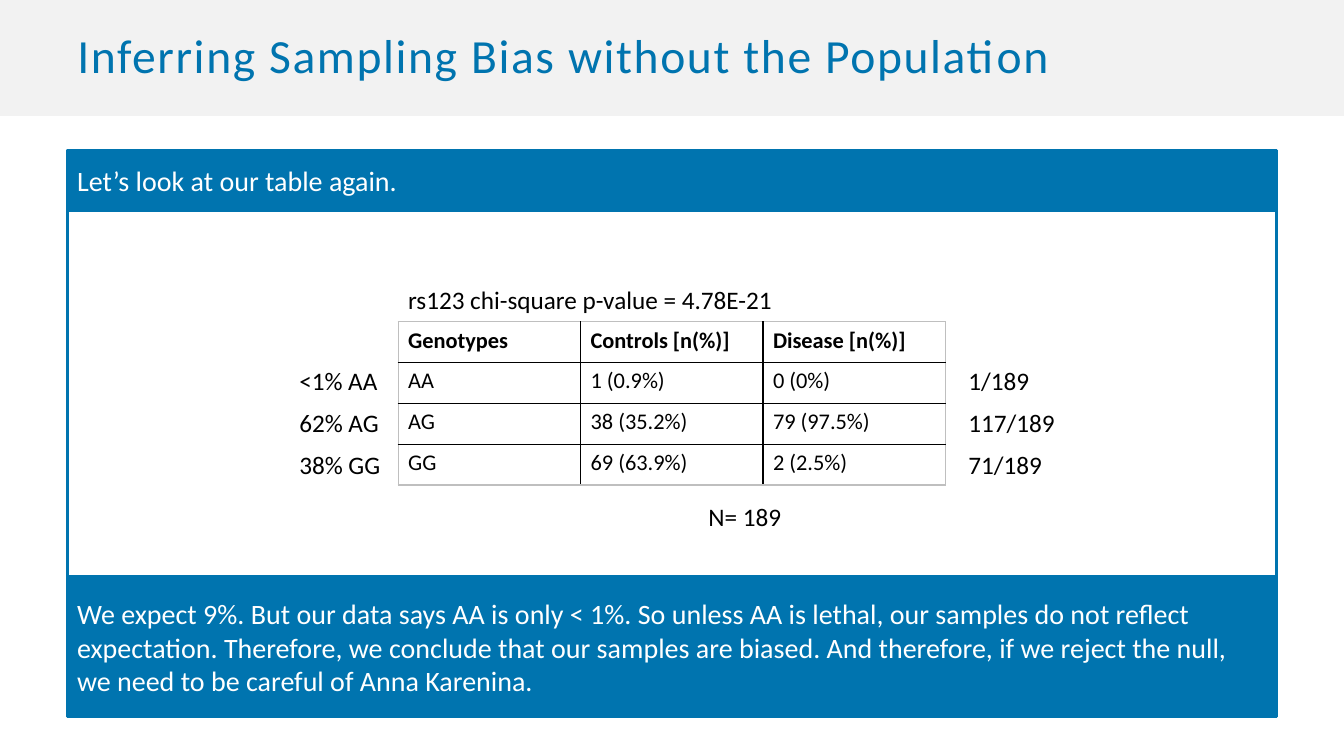
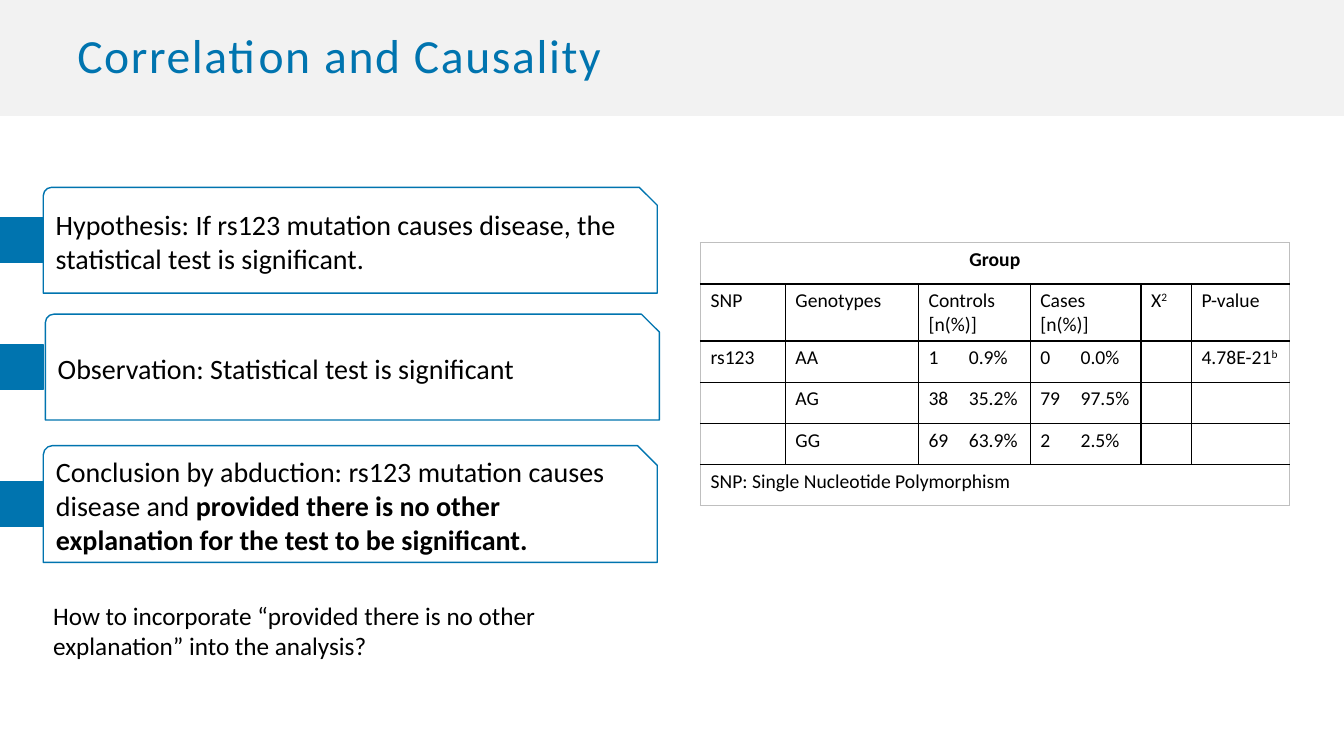
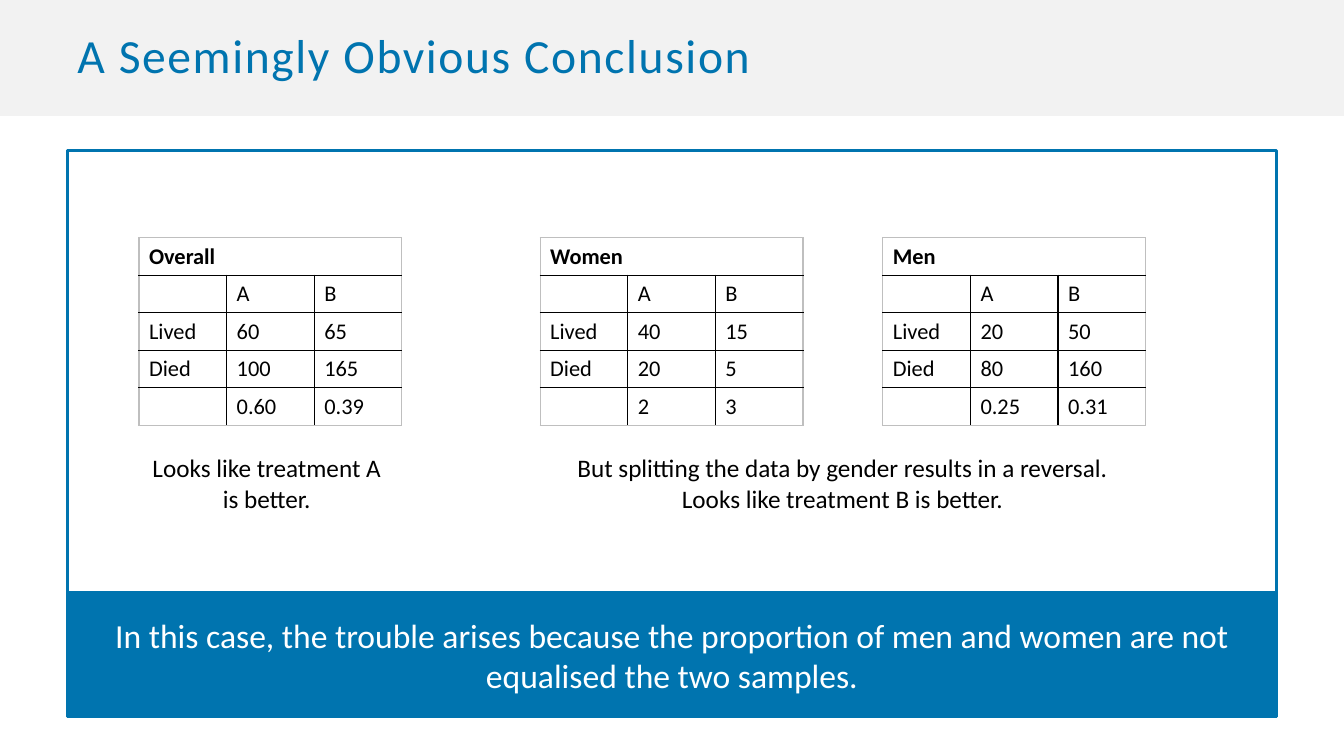
from dataclasses import dataclass

from lxml import etree
from pptx import Presentation
from pptx.dml.color import RGBColor
from pptx.enum.shapes import MSO_SHAPE
from pptx.enum.text import MSO_ANCHOR, MSO_AUTO_SIZE, PP_ALIGN
from pptx.oxml.ns import qn
from pptx.util import Inches, Pt

RECTANGLE = MSO_SHAPE.RECTANGLE
CARD = MSO_SHAPE.SNIP_ROUND_RECTANGLE
LEFT, CENTER = PP_ALIGN.LEFT, PP_ALIGN.CENTER
TOP, MIDDLE = MSO_ANCHOR.TOP, MSO_ANCHOR.MIDDLE
NO_FIT = MSO_AUTO_SIZE.NONE
TITLE_ONLY = 5
COLUMNS, ROWS = 32, 18
UNIT = Inches(7.5) / ROWS


@dataclass(frozen=True)
class Theme:
    font: str = "Calibri"
    blue: str = "0074AF"
    band: str = "F2F2F2"
    white: str = "FFFFFF"
    ink: str = "000000"
    edge: str = "BFBFBF"
    title: int = 34
    large: int = 24
    body: int = 20
    note: int = 18
    cell: int = 16
    small: int = 14
    frame_line: float = 2.25
    thin_line: float = 1


THEME = Theme()


@dataclass(frozen=True)
class Box:
    left: float
    top: float
    width: float
    height: float

    def place(self, left, top, width, height):
        return Box(self.left + left, self.top + top, width, height)

    def lengths(self):
        return [round(value * UNIT) for value in
                (self.left, self.top, self.width, self.height)]


BAND = Box(0, 0, COLUMNS, 2.76)
TITLE = Box(1.6, 0, 28.8, 2.76)
FRAME = Box(1.6, 3.58, 28.8, 13.49)


def color(value):
    return RGBColor.from_string(value)


def write(para, spans, size, ink=THEME.ink, bold=False, align=LEFT):
    para.alignment = align
    pieces = [(spans, "")] if isinstance(spans, str) else spans
    for text, kind in pieces:
        span = para.add_run()
        span.text = text
        span.font.name = THEME.font
        span.font.size = Pt(size)
        span.font.bold = bold or kind == "bold"
        span.font.color.rgb = color(ink)
        if kind == "super":
            span.font._element.set("baseline", "30000")


def add_panel(page, box, fill=None, line=None, weight=THEME.frame_line, kind=RECTANGLE):
    panel = page.shapes.add_shape(kind, *box.lengths())
    panel.shadow.inherit = False
    if fill:
        panel.fill.solid()
        panel.fill.fore_color.rgb = color(fill)
    else:
        panel.fill.background()
    if line:
        panel.line.color.rgb = color(line)
        panel.line.width = Pt(weight)
    else:
        panel.line.fill.background()
    return panel


def fill_text(shape, spans, size, ink=THEME.ink, align=LEFT, anchor=MIDDLE):
    frame = shape.text_frame
    frame.word_wrap = True
    frame.vertical_anchor = anchor
    write(frame.paragraphs[0], spans, size, ink, align=align)


def add_note(page, box, text, align=LEFT):
    note = page.shapes.add_textbox(*box.lengths())
    fill_text(note, text, THEME.note, align=align, anchor=TOP)


def add_banner(page, box, text, size=THEME.body, align=LEFT):
    banner = add_panel(page, box, THEME.blue, THEME.blue)
    fill_text(banner, text, size, THEME.white, align)


def add_page(deck, title):
    page = deck.slides.add_slide(deck.slide_layouts[TITLE_ONLY])
    heading = page.shapes.title
    heading.left, heading.top, heading.width, heading.height = TITLE.lengths()
    fill_text(heading, title, THEME.title, THEME.blue)
    heading.text_frame.auto_size = NO_FIT
    para = heading.text_frame.paragraphs[0]
    para.line_spacing = 0.9
    para.runs[0].font._element.set("spc", "120")
    return page


def add_band(deck, page):
    band = add_panel(page, BAND, THEME.band)
    deck.slide_master.shapes.element.insert(2, band._element)


def add_border(cell, side, ink):
    line = etree.SubElement(cell._tc.get_or_add_tcPr(), qn("a:" + side),
                            w=str(Pt(THEME.thin_line)))
    fill = etree.SubElement(line, qn("a:solidFill"))
    etree.SubElement(fill, qn("a:srgbClr"), val=ink)


def add_tab(para, position):
    tabs = etree.SubElement(para._p.get_or_add_pPr(), qn("a:tabLst"))
    etree.SubElement(tabs, qn("a:tab"), pos=str(Inches(position)), algn="l")


def fill_cell(cell, spans, size, bold, align):
    para = cell.text_frame.paragraphs[0]
    if "\t" in spans:
        cell.margin_right = Inches(0.02)
        add_tab(para, 0.4)
    if spans:
        write(para, spans, size, bold=bold, align=align)
    else:
        etree.SubElement(para._p, qn("a:endParaRPr"), sz=str(size * 100))


def add_grid(page, box, widths, heights, rows, size, head_align=LEFT):
    last_row, last_column = len(heights) - 1, len(widths) - 1
    grid = page.shapes.add_table(len(heights), len(widths), *box.lengths()).table
    grid.first_row = grid.horz_banding = False
    for column, width in zip(grid.columns, widths):
        column.width = round(width * UNIT)
    for row, height in zip(grid.rows, heights):
        row.height = round(height * UNIT)
    for r, values in enumerate(rows):
        if len(values) == 1:
            grid.cell(r, 0).merge(grid.cell(r, last_column))
        for c in range(last_column + 1):
            cell = grid.cell(r, c)
            outer = {"lnL": c == 0, "lnR": c == last_column or cell.is_merge_origin,
                     "lnT": r == 0, "lnB": r == last_row}
            for side, at_edge in outer.items():
                add_border(cell, side, THEME.edge if at_edge else THEME.ink)
            cell.fill.solid()
            cell.fill.fore_color.rgb = color(THEME.white)
            if c < len(values):
                fill_cell(cell, values[c], size, r == 0, head_align if r == 0 else LEFT)


def add_framed_content(page, box, footer, footer_height, size=THEME.body, align=LEFT):
    add_panel(page, box, THEME.white, THEME.blue)
    bottom = box.place(0, box.height - footer_height, box.width, footer_height)
    add_banner(page, bottom, footer, size, align)


def add_genotype_counts(page, box):
    rows = [
        ["Genotypes", "Controls [n(%)]", "Disease [n(%)]"],
        ["AA", "1 (0.9%)", "0 (0%)"],
        ["AG", "38 (35.2%)", "79 (97.5%)"],
        ["GG", "69 (63.9%)", "2 (2.5%)"],
    ]
    add_grid(page, box, [box.width / 3] * 3, [box.height / 4] * 4, rows, THEME.cell)
    add_note(page, box.place(0, -1.01, 10, 0.96), "rs123 chi-square p-value = 4.78E-21")
    add_note(page, box.place(7.15, 4.17, 2.6, 0.96), "N= 189")
    labels = [("<1% AA", "1/189"), ("62% AG", "117/189"), ("38% GG", "71/189")]
    for index, (share, count) in enumerate(labels):
        top = 0.91 + 1.01 * index
        add_note(page, box.place(-2.59, top, 2.6, 0.96), share)
        add_note(page, box.place(box.width + 0.31, top, 2.6, 0.96), count)


def add_reasoning_card(page, box, spans):
    marker = 1.06
    add_panel(page, Box(0, box.top + (box.height - marker) / 2, 1.03, marker),
              THEME.blue, THEME.blue, THEME.thin_line)
    card = add_panel(page, box, None, THEME.blue, THEME.thin_line, CARD)
    card.adjustments[0], card.adjustments[1] = 0.08, 0.17
    fill_text(card, spans, THEME.body)


def add_group_table(page, box):
    rows = [
        ["Group"],
        ["SNP", "Genotypes", "Controls [n(%)]", "Cases [n(%)]",
         [("X", ""), ("2", "super")], "P-value"],
        ["rs123", "AA", "1\t0.9%", "0\t0.0%", "", [("4.78E-21", ""), ("b", "super")]],
        ["", "AG", "38\t35.2%", "79\t97.5%", "", ""],
        ["", "GG", "69\t63.9%", "2\t2.5%", "", ""],
        ["SNP: Single Nucleotide Polymorphism"],
    ]
    heights = [0.98, 1.36] + [0.98] * 4
    add_grid(page, box, [2.02, 3.17, 2.66, 2.64, 1.2, 2.33], heights, rows,
             THEME.small, CENTER)


def add_outcome_table(page, box, group, lived, died, ratio):
    rows = [[group], ["", "A", "B"], ["Lived", *lived], ["Died", *died], ["", *ratio]]
    add_grid(page, box, [box.width / 3] * 3, [box.height / 5] * 5, rows, THEME.cell)


def build_bias_page(deck):
    page = add_page(deck, "Inferring Sampling Bias without the Population")
    add_band(deck, page)
    add_framed_content(
        page, FRAME,
        "We expect 9%. But our data says AA is only < 1%. So unless AA is lethal, our "
        "samples do not reflect expectation. Therefore, we conclude that our samples are "
        "biased. And therefore, if we reject the null, we need to be careful of Anna "
        "Karenina.", 3.34)
    add_banner(page, FRAME.place(0, 0, FRAME.width, 1.44), "Let’s look at our table again.")
    add_genotype_counts(page, FRAME.place(7.88, 4.08, 13.03, 3.89))


def build_causality_page(deck):
    page = add_page(deck, "Correlation and Causality")
    cards = [
        (Box(1.03, 4.46, 14.62, 2.52),
         "Hypothesis: If rs123 mutation causes disease, the statistical test is significant."),
        (Box(1.08, 7.48, 14.62, 2.52), "Observation: Statistical test is significant"),
        (Box(1.03, 10.61, 14.62, 2.78),
         [("Conclusion by abduction: rs123 mutation causes disease and ", ""),
          ("provided there is no other explanation for the test to be significant.", "bold")]),
    ]
    for box, spans in cards:
        add_reasoning_card(page, box, spans)
    add_note(page, Box(1.03, 14.18, 14.66, 1.7),
             "How to incorporate “provided there is no other explanation” into the analysis?")
    add_group_table(page, Box(16.68, 5.78, 14.02, 6.22))


def build_reversal_page(deck):
    page = add_page(deck, "A Seemingly Obvious Conclusion")
    add_framed_content(
        page, FRAME,
        "In this case, the trouble arises because the proportion of men and women are not "
        "equalised the two samples.", 2.95, THEME.large, CENTER)
    outcomes = [
        (1.71, "Overall", ("60", "65"), ("100", "165"), ("0.60", "0.39")),
        (11.26, "Women", ("40", "15"), ("20", "5"), ("2", "3")),
        (19.42, "Men", ("20", "50"), ("80", "160"), ("0.25", "0.31")),
    ]
    for left, *values in outcomes:
        add_outcome_table(page, FRAME.place(left, 2.08, 6.26, 4.4), *values)
    add_note(page, FRAME.place(1.62, 7.08, 6.26, 1.7),
             "Looks like treatment A is better.", CENTER)
    add_note(page, FRAME.place(11.26, 7.08, 14.4, 1.7),
             "But splitting the data by gender results in a reversal. "
             "Looks like treatment B is better.", CENTER)


def main():
    deck = Presentation()
    deck.slide_width, deck.slide_height = round(COLUMNS * UNIT), round(ROWS * UNIT)
    build_bias_page(deck)
    build_causality_page(deck)
    build_reversal_page(deck)
    deck.save("out.pptx")


if __name__ == "__main__":
    main()
